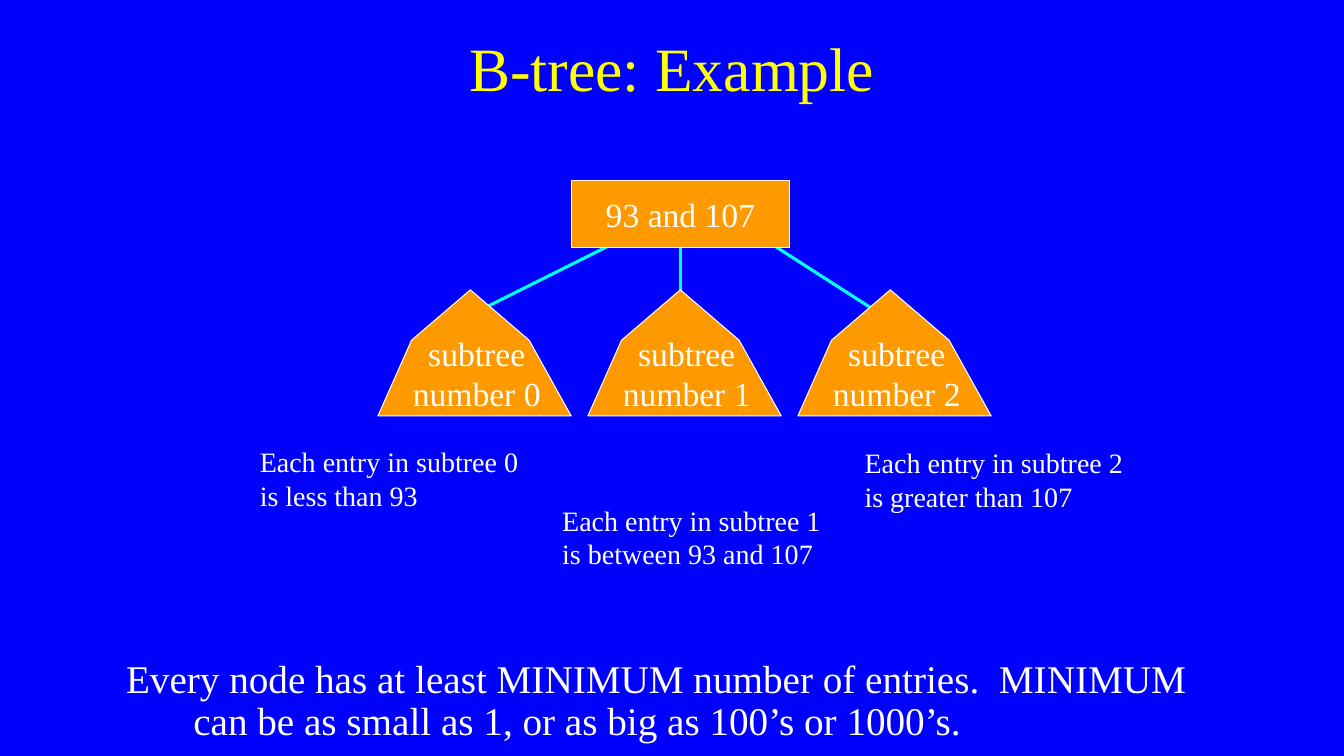
from lxml import etree
from pptx import Presentation
from pptx.dml.color import RGBColor
from pptx.enum.shapes import MSO_CONNECTOR, MSO_SHAPE
from pptx.enum.text import MSO_ANCHOR as Anchor, MSO_AUTO_SIZE as AutoSize, PP_ALIGN as Align
from pptx.oxml.ns import qn
from pptx.util import Pt

BLUE = RGBColor(0x00, 0x00, 0xFF)
YELLOW = RGBColor(0xFF, 0xFF, 0x00)
ORANGE = RGBColor(0xFF, 0x99, 0x00)
CYAN = RGBColor(0x00, 0xFF, 0xFF)
WHITE = RGBColor(0xFF, 0xFF, 0xFF)


class TreeSlide:
    font_name = "Times New Roman"

    def __init__(self, deck):
        self.page = deck.slides.add_slide(deck.slide_layouts[6])
        self.page.background.fill.solid()
        self.page.background.fill.fore_color.rgb = BLUE
        self.shapes = self.page.shapes

    def set_text(self, shape, lines, size, color=WHITE, align=Align.LEFT,
                 anchor=Anchor.TOP, wrap=True):
        frame = shape.text_frame
        frame.word_wrap = wrap
        frame.vertical_anchor = anchor
        frame.text = "\n".join(lines)
        for para in frame.paragraphs:
            para.alignment = align
            para.font.name = self.font_name
            para.font.size = Pt(size)
            para.font.color.rgb = color
        return frame

    def text(self, left, top, width, height, lines, size, grow=False, **style):
        box = self.shapes.add_textbox(Pt(left), Pt(top), Pt(width), Pt(height))
        frame = self.set_text(box, lines, size, **style)
        if grow:
            frame.auto_size = AutoSize.SHAPE_TO_FIT_TEXT
        return frame

    def paint(self, shape):
        """Give a tree node its fill and outline."""
        shape.shadow.inherit = False
        shape.fill.solid()
        shape.fill.fore_color.rgb = ORANGE
        shape.line.color.rgb = WHITE
        shape.line.width = Pt(0.75)

    def root(self, left, top, width, height, label):
        node = self.shapes.add_shape(
            MSO_SHAPE.RECTANGLE, Pt(left), Pt(top), Pt(width), Pt(height))
        self.paint(node)
        self.set_text(node, [label], 24, align=Align.CENTER,
                      anchor=Anchor.MIDDLE, wrap=False)

    def subtree(self, left, top, number):
        outline = [(66, 0), (24, 36), (0, 90), (138, 90), (108, 36)]
        corners = [(Pt(left + x), Pt(top + y)) for x, y in outline]
        builder = self.shapes.build_freeform(*corners[0])
        builder.add_line_segments(corners[1:], close=True)
        self.paint(builder.convert_to_shape())
        self.text(left + 17, top + 27, 107, 65.5, ["subtree", f"number {number}"],
                  24, grow=True, align=Align.CENTER, wrap=False)

    def link(self, start_x, start_y, end_x, end_y):
        line = self.shapes.add_connector(
            MSO_CONNECTOR.STRAIGHT, Pt(start_x), Pt(start_y), Pt(end_x), Pt(end_y))
        line.line.color.rgb = CYAN
        line.line.width = Pt(2.25)
        etree.SubElement(line._element.spPr, qn("a:effectLst"))


def main():
    deck = Presentation()
    deck.slide_width, deck.slide_height = Pt(960), Pt(540)
    slide = TreeSlide(deck)

    slide.text(72, 3, 816, 90, ["B-tree: Example"], 44, color=YELLOW,
               align=Align.CENTER, anchor=Anchor.MIDDLE)

    for start_x, end_x in [(444, 336), (546, 630), (486, 486)]:
        slide.link(start_x, 171, end_x, 225)
    slide.root(408, 129, 156, 48, "93 and 107")
    for number in range(3):
        slide.subtree(270 + 150 * number, 207, number)

    captions = [
        (178.5, 314, "less than 93"),
        (394.5, 356, "between 93 and 107"),
        (610.5, 315, "greater than 107"),
    ]
    for number, (left, top, bound) in enumerate(captions):
        slide.text(left, top, 211, 55.5,
                   [f"Each entry in subtree {number} is {bound}"], 20, grow=True)

    summary = slide.text(
        83, 467.5, 816, 64,
        ["Every node has at least MINIMUM number of entries.  MINIMUM "
         "can be as small as 1, or as big as 100’s or 1000’s."], 28)
    para = summary.paragraphs[0]
    para.line_spacing = 0.9
    hanging = para._p.get_or_add_pPr()
    hanging.set("marL", str(Pt(48)))
    hanging.set("indent", str(-Pt(48)))

    deck.save("out.pptx")


if __name__ == "__main__":
    main()
